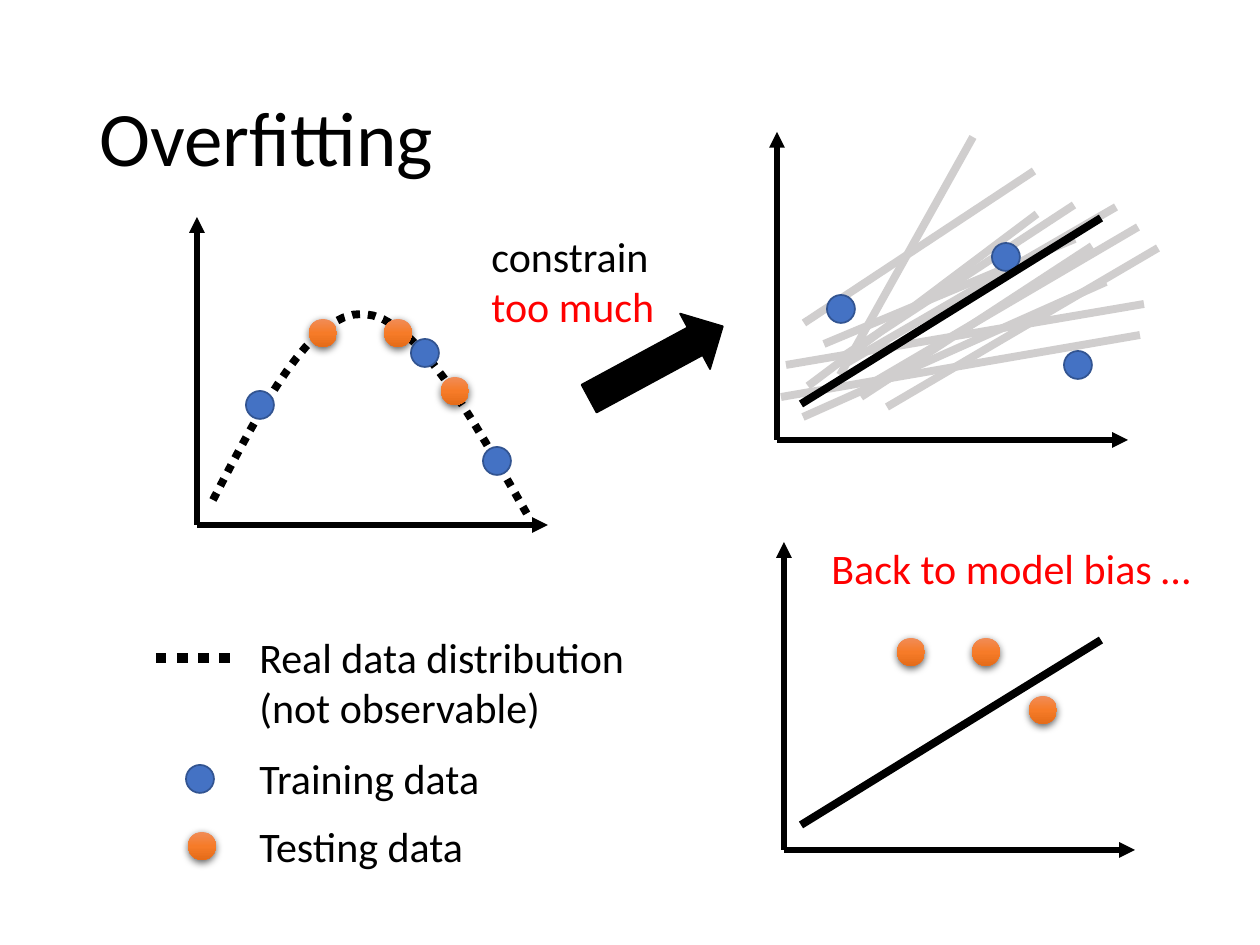
from lxml import etree
from pptx import Presentation
from pptx.dml.color import RGBColor
from pptx.enum.dml import MSO_LINE
from pptx.enum.shapes import MSO_CONNECTOR, MSO_SHAPE
from pptx.enum.text import MSO_ANCHOR
from pptx.oxml import parse_xml
from pptx.oxml.ns import nsdecls, qn
from pptx.util import Pt

PX_PER_INCH = 126
BLACK, RED, GRAY = "000000", "FF0000", "D0CECE"
BLUE, DARK_BLUE = "4472C4", "325491"
ORANGE_STOPS = [(0, "F18C57"), (50, "F67B28"), (100, "E56C19")]
DOT = 28

# Top left corners of the dots in the left chart; the other charts shift them.
TRAINING = [(246, 391), (411, 339), (483, 447)]
TESTING = [(441, 377), (384, 319), (309, 319)]

CANDIDATE_MODELS = [
    (781, 397, 1140, 335), (786, 365, 1144, 304), (803, 417, 1106, 282),
    (808, 386, 1037, 214), (840, 375, 973, 137), (861, 397, 1092, 246),
    (842, 357, 1074, 205), (804, 323, 1034, 171), (824, 344, 1075, 239),
    (845, 364, 1116, 207), (867, 386, 1138, 227), (887, 407, 1158, 248),
]
REAL_CURVE = [
    [(213, 500), (262, 406), (311, 312), (363, 314)],
    [(363, 314), (416, 316), (471, 416), (527, 514)],
]


def px(length):
    return round(length * 914400 / PX_PER_INCH)


def color(hex_string):
    return RGBColor.from_string(hex_string)


def style_line(line, line_color, width, dash=None):
    line.color.rgb = color(line_color)
    line.width = Pt(width)
    if dash:
        line.dash_style = dash


def add_line(page, ends, line_color, width, dash=None, arrow=False):
    connector = page.shapes.add_connector(MSO_CONNECTOR.STRAIGHT, *map(px, ends))
    style_line(connector.line, line_color, width, dash)
    properties = connector._element.spPr
    if arrow:
        etree.SubElement(properties.find(qn("a:ln")), qn("a:tailEnd"), type="triangle")
    etree.SubElement(properties, qn("a:effectLst"))


def add_axes(page, x, y):
    add_line(page, (x, y, x + 351, y), BLACK, 3, arrow=True)
    add_line(page, (x, y, x, y - 308), BLACK, 3, arrow=True)


def add_shape(page, kind, left, top, width, height):
    shape = page.shapes.add_shape(kind, px(left), px(top), px(width), px(height))
    shape.shadow.inherit = False
    return shape


def add_training_dot(page, left, top):
    dot = add_shape(page, MSO_SHAPE.OVAL, left, top, DOT, DOT)
    dot.fill.solid()
    dot.fill.fore_color.rgb = color(BLUE)
    style_line(dot.line, DARK_BLUE, 1)


def add_testing_dot(page, left, top):
    """Add an orange dot with a gradient and a soft shadow."""
    dot = add_shape(page, MSO_SHAPE.OVAL, left, top, DOT, DOT)
    dot.line.fill.background()
    stops = "".join(
        f'<a:gs pos="{place * 1000}"><a:srgbClr val="{stop}"/></a:gs>'
        for place, stop in ORANGE_STOPS
    )
    properties = dot._element.spPr
    properties.find(qn("a:prstGeom")).addnext(parse_xml(
        f'<a:gradFill {nsdecls("a")} rotWithShape="1"><a:gsLst>{stops}</a:gsLst>'
        '<a:lin ang="5400000" scaled="0"/></a:gradFill>'
    ))
    properties.find(qn("a:effectLst")).append(parse_xml(
        f'<a:outerShdw {nsdecls("a")} blurRad="57150" dist="19050" dir="5400000" '
        'algn="ctr" rotWithShape="0"><a:srgbClr val="000000">'
        '<a:alpha val="63000"/></a:srgbClr></a:outerShdw>'
    ))


def add_dots(page, add_dot, places, shift_x=0, shift_y=0):
    for left, top in places:
        add_dot(page, left + shift_x, top + shift_y)


def bezier_point(corners, t):
    weights = ((1 - t) ** 3, 3 * t * (1 - t) ** 2, 3 * t * t * (1 - t), t ** 3)
    return tuple(
        px(sum(weight * corner[axis] for weight, corner in zip(weights, corners)))
        for axis in (0, 1)
    )


def add_curve(page, pieces, steps=16):
    points = [
        bezier_point(corners, step / steps)
        for corners in pieces for step in range(1, steps + 1)
    ]
    builder = page.shapes.build_freeform(*bezier_point(pieces[0], 0))
    builder.add_line_segments(points, close=False)
    curve = builder.convert_to_shape()
    curve.shadow.inherit = False
    curve.fill.background()
    style_line(curve.line, BLACK, 4.5, MSO_LINE.ROUND_DOT)


def add_text(page, left, top, width, height, spans, size=24):
    """Add one paragraph made of (text, colour) spans and return its box."""
    box = page.shapes.add_textbox(px(left), px(top), px(width), px(height))
    box.text_frame.word_wrap = True
    para = box.text_frame.paragraphs[0]
    para.font.size = Pt(size)
    para.font.name = "Calibri"
    for text, text_color in spans:
        span = para.add_run()
        span.text = text
        span.font.color.rgb = color(text_color)
    return box


def add_title(page, text):
    frame = add_text(page, 87, 50, 1086, 183, [(text, BLACK)], 44).text_frame
    frame.vertical_anchor = MSO_ANCHOR.MIDDLE
    frame.paragraphs[0].line_spacing = 0.9


def add_block_arrow(page):
    arrow = add_shape(page, MSO_SHAPE.RIGHT_ARROW, 580, 331, 152, 63)
    arrow.rotation = 331.6
    arrow.fill.solid()
    arrow.fill.fore_color.rgb = color(BLACK)
    style_line(arrow.line, BLACK, 1)


def add_legend(page):
    add_line(page, (156, 658, 238, 658), BLACK, 6, MSO_LINE.ROUND_DOT)
    add_training_dot(page, 186, 765)
    add_testing_dot(page, 188, 832)
    for top, height, label in [
        (625, 115, "Real data distribution (not observable)"),
        (746, 63, "Training data"),
        (814, 63, "Testing data"),
    ]:
        add_text(page, 247, top, 392, height, [(label, BLACK)])


def main():
    deck = Presentation()
    deck.slide_width, deck.slide_height = px(1260), px(945)
    page = deck.slides.add_slide(deck.slide_layouts[6])

    for ends in CANDIDATE_MODELS:
        add_line(page, ends, GRAY, 4.5)
    add_title(page, "Overfitting")
    for origin in [(197, 525), (777, 440), (784, 850)]:
        add_axes(page, *origin)

    add_dots(page, add_training_dot, TRAINING, 581, -96)
    add_dots(page, add_testing_dot, TESTING, 588, 319)
    add_curve(page, REAL_CURVE)
    add_dots(page, add_training_dot, TRAINING)
    add_dots(page, add_testing_dot, TESTING)

    add_legend(page)
    add_text(page, 479, 224, 234, 115, [("constrain ", BLACK), ("too much", RED)])
    add_block_arrow(page)
    for ends in [(801, 404, 1101, 218), (801, 825, 1101, 640)]:
        add_line(page, ends, BLACK, 4.5)
    add_text(page, 819, 536, 401, 63, [("Back to model bias …", RED)])
    deck.save("out.pptx")


if __name__ == "__main__":
    main()
